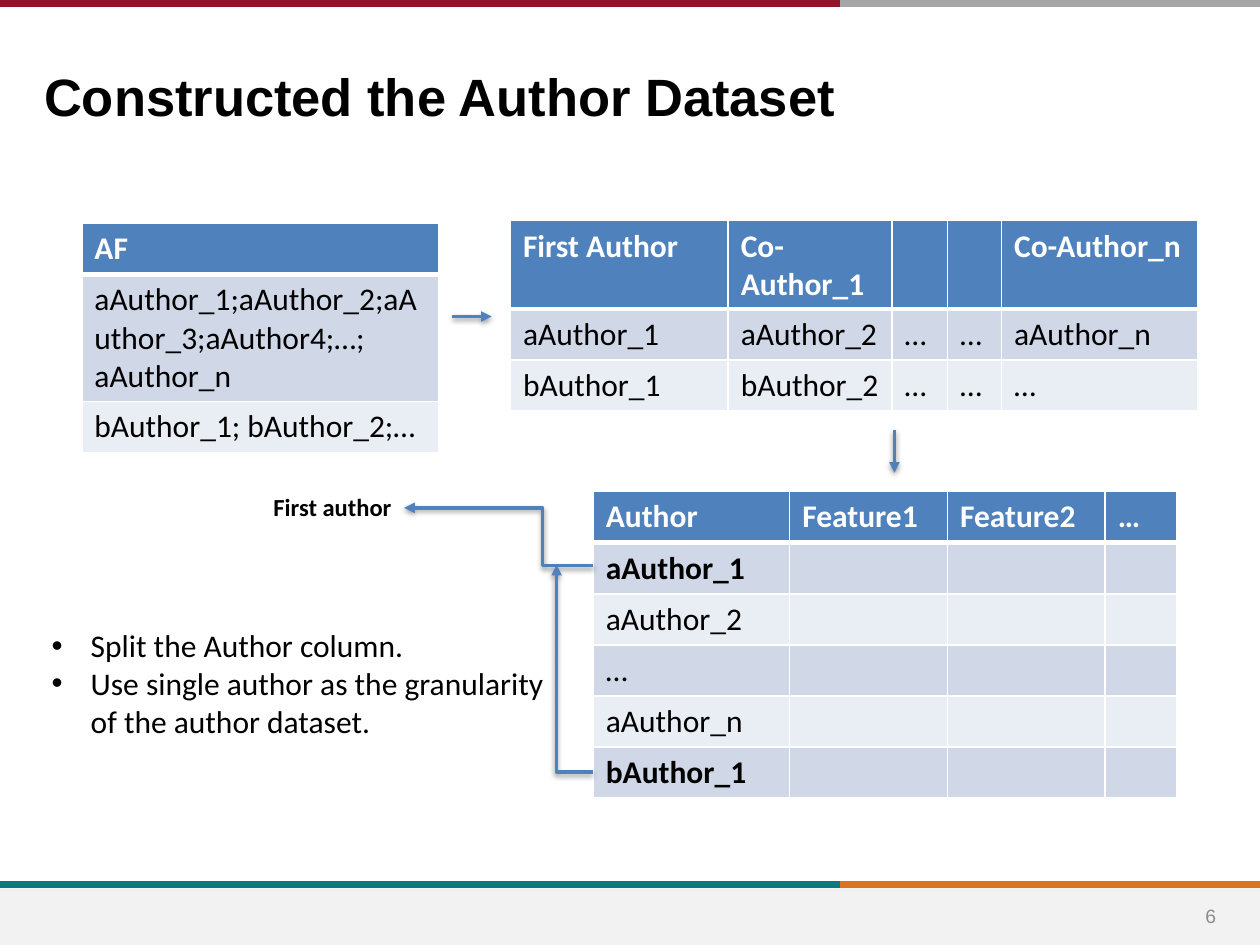
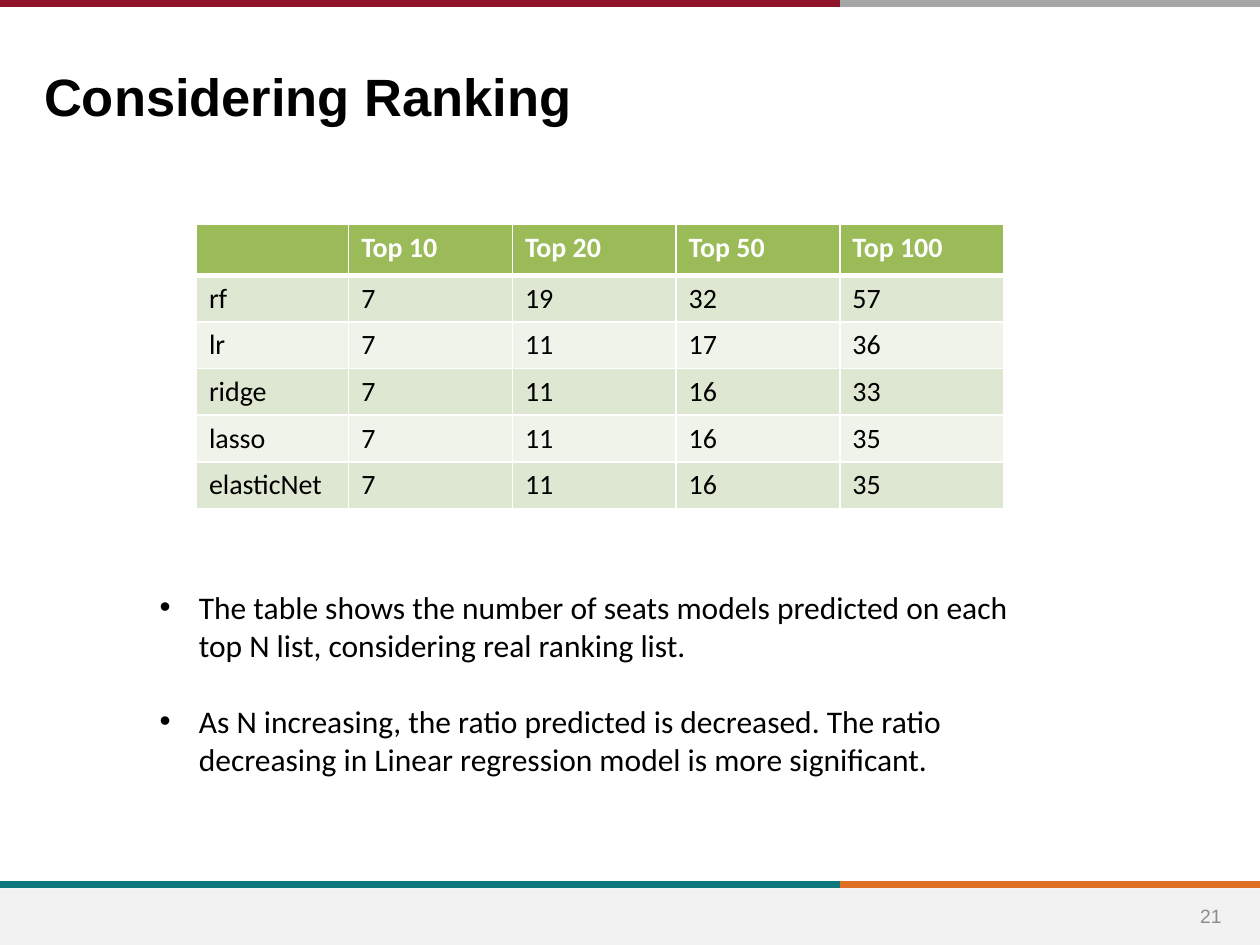
"""Build two slides on the author dataset and the ranking results."""
import pptx
import pptx.dml.color
import pptx.enum.shapes
import pptx.enum.text
import pptx.oxml
import pptx.oxml.ns
import pptx.util
from lxml import etree

Cm, Pt = pptx.util.Cm, pptx.util.Pt
RGBColor = pptx.dml.color.RGBColor
qn = pptx.oxml.ns.qn
CONNECTOR = pptx.enum.shapes.MSO_CONNECTOR
ALIGN = pptx.enum.text.PP_ALIGN
ANCHOR = pptx.enum.text.MSO_ANCHOR

BLACK = RGBColor(0x00, 0x00, 0x00)
WHITE = RGBColor(0xFF, 0xFF, 0xFF)
CRIMSON = RGBColor(0x90, 0x15, 0x2A)
SILVER = RGBColor(0xA6, 0xA6, 0xA6)
TEAL = RGBColor(0x0F, 0x78, 0x7D)
ORANGE = RGBColor(0xDF, 0x70, 0x23)
FOOTER_FILL = RGBColor(0xF2, 0xF2, 0xF2)
NUMBER_GRAY = RGBColor(0x8C, 0x8C, 0x8C)
BLUE = RGBColor(0x4F, 0x81, 0xBD)
BLUE_TABLE = (BLUE, RGBColor(0xD0, 0xD8, 0xE8), RGBColor(0xE9, 0xED, 0xF4))
GREEN_TABLE = (RGBColor(0x9B, 0xBB, 0x59), RGBColor(0xDE, 0xE7, 0xD1),
               RGBColor(0xEF, 0xF3, 0xEA))

WIDTH, HEIGHT = 25.4, 19.05
BAND_SPLIT = 16.93
ROW = 1.03


def write_text(tf, text, size=18, font="Calibri", color=BLACK, bold=False,
               align=ALIGN.LEFT, bullet=False, gap=0):
    """Fill a text frame with one paragraph per line of text."""
    for i, line in enumerate(text.split("\n")):
        p = tf.add_paragraph() if i else tf.paragraphs[0]
        if bullet:
            pPr = p._p.get_or_add_pPr()
            pPr.set("marL", str(Cm(0.79)))
            pPr.set("indent", str(-Cm(0.79)))
            etree.SubElement(pPr, qn("a:buFont")).set("typeface", "Arial")
            etree.SubElement(pPr, qn("a:buChar")).set("char", "•")
        p.alignment = align
        if i and gap:
            p.space_before = Pt(gap)
        r = p.add_run()
        r.text = line
        r.font.size, r.font.name, r.font.bold = Pt(size), font, bold
        r.font.color.rgb = color


def add_text(slide, box, text, anchor=ANCHOR.TOP, **style):
    """Add a wrapping text box; box is left, top, width, height in cm."""
    tf = slide.shapes.add_textbox(*map(Cm, box)).text_frame
    tf.word_wrap = True
    tf.vertical_anchor = anchor
    write_text(tf, text, **style)


def add_line(slide, start, end, color, width, kind=CONNECTOR.STRAIGHT):
    """Add a connector without a shadow and return it."""
    sp = slide.shapes.add_connector(kind, *map(Cm, start + end))
    sp.line.color.rgb = color
    sp.line.width = Pt(width)
    etree.SubElement(sp._element.spPr, qn("a:effectLst"))
    return sp


def add_arrow(slide, start, end, bend=None, rotation=0):
    """Add a blue arrow with a soft shadow; bend makes it an elbow."""
    kind = CONNECTOR.STRAIGHT if bend is None else CONNECTOR.ELBOW
    sp = add_line(slide, start, end, BLUE, 2, kind)
    spPr = sp._element.spPr
    etree.SubElement(spPr.find(qn("a:ln")), qn("a:tailEnd")).set("type", "triangle")
    shadow = etree.SubElement(
        spPr.find(qn("a:effectLst")), qn("a:outerShdw"), blurRad=str(Pt(3.1)),
        dist=str(Pt(1.6)), dir="5400000", rotWithShape="0")
    black = etree.SubElement(shadow, qn("a:srgbClr"), val=str(BLACK))
    etree.SubElement(black, qn("a:alpha"), val="38000")
    if bend is not None:
        avLst = spPr.find(qn("a:prstGeom")).get_or_add_avLst()
        etree.SubElement(avLst, qn("a:gd"), name="adj1", fmla=f"val {bend}")
    if rotation:
        spPr.find(qn("a:xfrm")).set("rot", str(rotation * 60000))


def set_borders(cell, top, bottom):
    """Draw white borders on a cell, widths in points."""
    tcPr = cell._tc.get_or_add_tcPr()
    widths = {"lnL": 1, "lnR": 1, "lnT": top, "lnB": bottom}
    for i, (side, width) in enumerate(widths.items()):
        ln = etree.Element(qn(f"a:{side}"), w=str(Pt(width)))
        fill = etree.SubElement(ln, qn("a:solidFill"))
        etree.SubElement(fill, qn("a:srgbClr"), val=str(WHITE))
        tcPr.insert(i, ln)


def add_grid(slide, left, top, col_widths, row_heights, rows, palette,
             size=18, bold_rows=()):
    """Add a banded table with a header row."""
    header, odd, even = palette
    table = slide.shapes.add_table(
        len(rows), len(col_widths), Cm(left), Cm(top),
        Cm(sum(col_widths)), Cm(sum(row_heights))).table
    for column, width in zip(table.columns, col_widths):
        column.width = Cm(width)
    for i, (values, height) in enumerate(zip(rows, row_heights)):
        table.rows[i].height = Cm(height)
        for j, value in enumerate(values):
            cell = table.cell(i, j)
            cell.fill.solid()
            cell.fill.fore_color.rgb = header if i == 0 else odd if i % 2 else even
            set_borders(cell, 3 if i == 1 else 1, 3 if i == 0 else 1)
            if value:
                write_text(cell.text_frame, value, size=size,
                           color=BLACK if i else WHITE,
                           bold=i == 0 or i in bold_rows)


def add_page(prs, title, number):
    """Add a slide with its bands, footer, number and title."""
    slide = prs.slides.add_slide(prs.slide_layouts[6])
    for y, left_color, right_color in ((17.83, TEAL, ORANGE), (0.07, CRIMSON, SILVER)):
        add_line(slide, (BAND_SPLIT, y), (WIDTH, y), right_color, 4)
        add_line(slide, (0, y), (BAND_SPLIT, y), left_color, 4)
    footer = slide.shapes.add_shape(
        pptx.enum.shapes.MSO_SHAPE.RECTANGLE, 0, Cm(17.91), Cm(WIDTH), Cm(1.14))
    footer.shadow.inherit = False
    footer.fill.solid()
    footer.fill.fore_color.rgb = FOOTER_FILL
    footer.line.fill.background()
    add_text(slide, (23.75, 17.96, 1.32, 1.02), str(number), anchor=ANCHOR.MIDDLE,
             size=11, font="Arial", color=NUMBER_GRAY, align=ALIGN.CENTER)
    add_text(slide, (0.64, 1.17, 20.29, 1.5), title, size=30, font="Arial", bold=True)
    return slide


def build_author_dataset(prs):
    """Show how the author column becomes one row per author."""
    slide = add_page(prs, "Constructed the Author Dataset", 6)
    split_rows = [
        ("First Author", "Co- Author_1", "", "", "Co-Author_n"),
        ("aAuthor_1", "aAuthor_2", "…", "…", "aAuthor_n"),
        ("bAuthor_1", "bAuthor_2", "…", "…", "…")]
    add_grid(slide, 10.29, 4.45, (4.39, 3.3, 1.12, 1.09, 3.96),
             (1.78, ROW, ROW), split_rows, BLUE_TABLE)
    add_arrow(slide, (9.12, 6.38), (9.91, 6.38))
    source_rows = [("AF",),
                   ("aAuthor_1;aAuthor_2;aAuthor_3;aAuthor4;…;\naAuthor_n",),
                   ("bAuthor_1; bAuthor_2;…",)]
    add_grid(slide, 1.65, 4.5, (7.19,), (ROW, 2.56, ROW), source_rows, BLUE_TABLE)
    add_text(slide, (0.79, 12.5, 10.8, 2.57),
             "Split the Author column.\n"
             "Use single author as the granularity of the author dataset.",
             bullet=True)
    add_arrow(slide, (18.03, 8.66), (18.03, 9.53))
    authors = ("aAuthor_1", "aAuthor_2", "…", "aAuthor_n", "bAuthor_1")
    feature_rows = [("Author", "Feature1", "Feature2", "…")]
    feature_rows += [(author, "", "", "") for author in authors]
    add_grid(slide, 11.96, 9.91, (3.96, 3.18, 3.18, 1.45), [ROW] * 6,
             feature_rows, BLUE_TABLE, bold_rows=(1, 5))
    add_arrow(slide, (11.96, 11.4), (8.15, 10.24), bend=26800)
    add_arrow(slide, (9.5, 13.84), (13.67, 13.11), bend=0, rotation=270)
    add_text(slide, (5.26, 9.8, 3.56, 0.86), "First author", size=14, bold=True)


def build_ranking(prs):
    """Show how many seats each model predicted."""
    slide = add_page(prs, "Considering Ranking", 21)
    rows = [("", "Top 10", "Top 20", "Top 50", "Top 100"),
            ("rf", "7", "19", "32", "57"),
            ("lr", "7", "11", "17", "36"),
            ("ridge", "7", "11", "16", "33"),
            ("lasso", "7", "11", "16", "35"),
            ("elasticNet", "7", "11", "16", "35")]
    add_grid(slide, 3.96, 4.52, [3.07] + [3.3] * 4, [ROW] + [0.94] * 5,
             rows, GREEN_TABLE, size=16)
    add_text(slide, (2.97, 11.73, 18.21, 4.11),
             "The table shows the number of seats models predicted on each "
             "top N list, considering real ranking list.\n"
             "As N increasing, the ratio predicted is decreased. The ratio "
             "decreasing in Linear regression model is more significant.",
             bullet=True, gap=22)


def main():
    """Build and save the presentation."""
    prs = pptx.Presentation()
    prs.slide_width, prs.slide_height = Cm(WIDTH), Cm(HEIGHT)
    build_author_dataset(prs)
    build_ranking(prs)
    prs.save("out.pptx")


if __name__ == "__main__":
    main()
